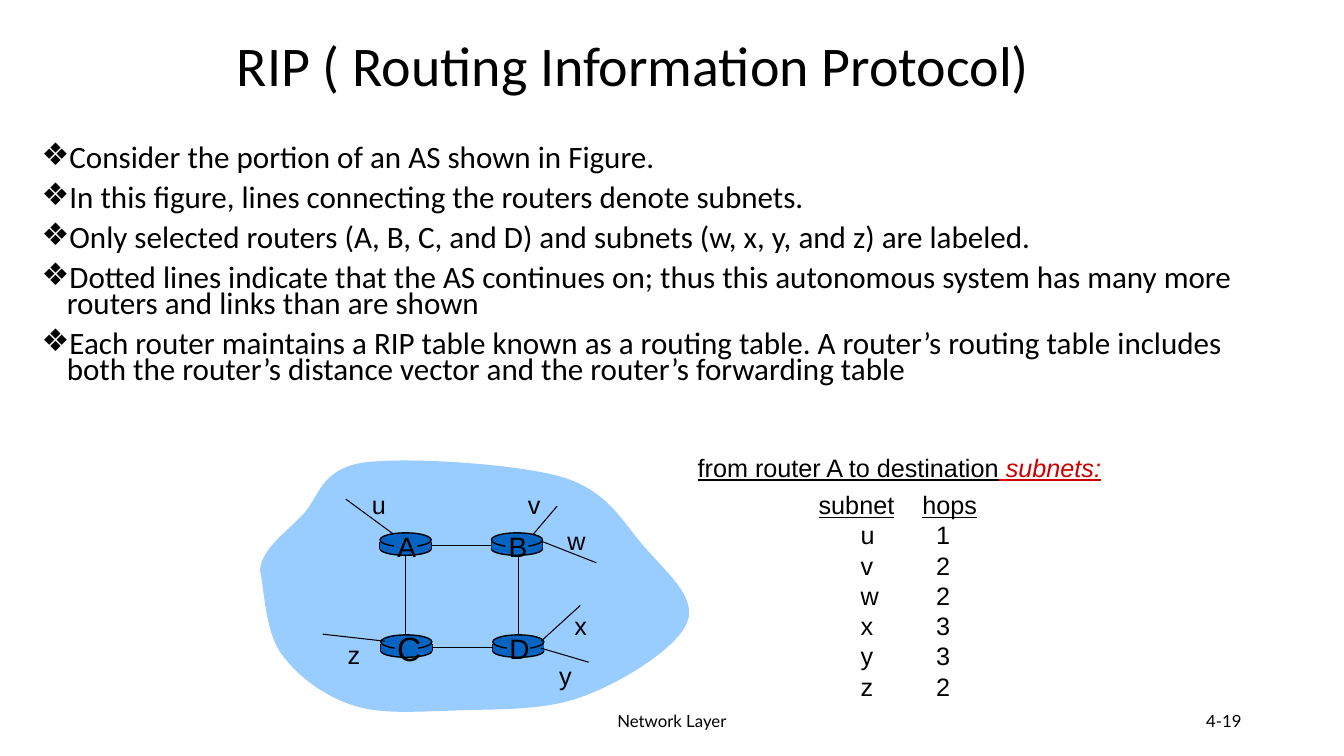
from lxml import etree
from pptx import Presentation
from pptx import util as u
from pptx.dml import color
from pptx.enum import shapes, text
from pptx.oxml import ns

Pt = u.Pt
COLORS = {"ink": "000000", "cloud": "99CCFF", "router": "0563C1",
          "accent": "CC0000", "gap": "FF0000"}

TITLE = "RIP ( Routing Information Protocol)"
POINTS = [
    "Consider the portion of an AS shown in Figure.",
    "In this figure, lines connecting the routers denote subnets.",
    "Only selected routers (A, B, C, and D) and subnets (w, x, y, and z) are labeled.",
    "Dotted lines indicate that the AS continues on; thus this autonomous system "
    "has many more routers and links than are shown",
    "Each router maintains a RIP table known as a routing table. A router’s routing "
    "table includes both the router’s distance vector and the router’s forwarding table",
]
# Cloud outline: bounds, start point, then two control points and an end per curve
CLOUD_BOUNDS = (185.8, 326.2, 498.3, 510.5)
CLOUD_START = (185.8, 407.5)
CLOUD_CURVES = [
    ((186.5, 392.4), (203.8, 380.9), (216, 367.9)),
    ((228.2, 355.7), (228.2, 335.5), (259.2, 330.5)),
    ((290.2, 326.2), (367.9, 331.2), (401, 340.6)),
    ((434.2, 350.6), (444.2, 372.2), (459.4, 389.5)),
    ((473.8, 406.8), (498.2, 426.2), (491, 444.2)),
    ((483.8, 463), (444.2, 487.4), (416.2, 497.5)),
    ((388.1, 508.3), (351.4, 506.2), (324, 507.6)),
    ((295.9, 508.3), (270.7, 510.5), (250.6, 503.3)),
    ((229.7, 496.1), (211, 481.7), (200.2, 465.8)),
    ((189.4, 450), (188.6, 419.8), CLOUD_START),
]
# Router name: left, top, label size, offsets of its upright sides
ROUTERS = {"A": (271.5, 380.6, 20, (0, 36.5)), "B": (351, 380.6, 20, (0, 36.5)),
           "C": (272, 453.5, 24, (0, 36.5)), "D": (352, 453.5, 20, (0,))}
# Subnet name: label position, line ends, hops from A
SUBNETS = {
    "u": ((258.5, 346.3), (281, 381.5, 247, 356.5), 1),
    "v": ((370, 346.3), (381, 381.5, 398, 361.5), 2),
    "w": ((398.2, 371.5), (386.5, 386.5, 426, 402), 2),
    "x": ((403.2, 432.5), (386.5, 458, 414.5, 432.5), 3),
    "y": ((392.4, 468), (386.5, 463, 420.5, 473), 3),
    "z": ((241.2, 453), (275, 458, 230.5, 453), 2),
}


def rgb(name):
    return color.RGBColor.from_string(COLORS[name])


def write(para, words, size=18, font="Arial", ink="ink", underline=False, italic=False):
    span = para.add_run()
    span.text = words
    span.font.size = Pt(size)
    span.font.name = font
    span.font.color.rgb = rgb(ink)
    span.font.underline = underline
    span.font.italic = italic


def add_box(page, left, top, width, height, fit=True):
    box = page.shapes.add_textbox(Pt(left), Pt(top), Pt(width), Pt(height))
    frame = box.text_frame
    frame.word_wrap = not fit
    frame.auto_size = text.MSO_AUTO_SIZE.SHAPE_TO_FIT_TEXT if fit else text.MSO_AUTO_SIZE.NONE
    return frame


def add_label(page, words, left, top, width, height, align=text.PP_ALIGN.LEFT, **style):
    para = add_box(page, left, top, width, height).paragraphs[0]
    para.alignment = align
    write(para, words, **style)


def add_footer(page, words, left, width, align):
    frame = add_box(page, left, 500.5, width, 28.8, fit=False)
    frame.vertical_anchor = text.MSO_ANCHOR.MIDDLE
    frame.paragraphs[0].alignment = align
    write(frame.paragraphs[0], words, size=12, font="Lato")


def paint(shape, fill, outlined=False):
    shape.shadow.inherit = False
    shape.fill.solid()
    shape.fill.fore_color.rgb = rgb(fill)
    if outlined:
        shape.line.color.rgb = rgb("ink")
        shape.line.width = Pt(1)
    else:
        shape.line.fill.background()
    return shape


def add_part(page, kind, left, top, width, height, outlined=False):
    shape = page.shapes.add_shape(kind, Pt(left), Pt(top), Pt(width), Pt(height))
    return paint(shape, "router", outlined)


def add_line(page, x1, y1, x2, y2, width=1.0):
    line = page.shapes.add_connector(shapes.MSO_CONNECTOR.STRAIGHT,
                                     Pt(x1), Pt(y1), Pt(x2), Pt(y2))
    line.line.color.rgb = rgb("ink")
    line.line.width = Pt(width)
    etree.SubElement(line._element.spPr, ns.qn("a:effectLst"))
    return line


def add_cloud(page):
    left, top, right, bottom = CLOUD_BOUNDS
    builder = page.shapes.build_freeform(Pt(left), Pt(top), scale=1.0)
    builder.add_line_segments([(Pt(right), Pt(top)), (Pt(right), Pt(bottom)),
                               (Pt(left), Pt(bottom))], close=True)
    cloud = paint(builder.convert_to_shape(), "cloud")
    # Fill the frame with smooth curves
    outline = cloud._element.spPr.find(".//" + ns.qn("a:path"))
    for segment in list(outline):
        outline.remove(segment)
    moves = [("a:moveTo", [CLOUD_START])]
    moves += [("a:cubicBezTo", curve) for curve in CLOUD_CURVES]
    for tag, points in moves + [("a:close", [])]:
        segment = etree.SubElement(outline, ns.qn(tag))
        for x, y in points:
            etree.SubElement(segment, ns.qn("a:pt"), x=str(Pt(x - left)), y=str(Pt(y - top)))


def add_router(page, left, top, sides):
    """Draw a disc-shaped router and return its body."""
    oval, rect = shapes.MSO_SHAPE.OVAL, shapes.MSO_SHAPE.RECTANGLE
    add_part(page, oval, left, top + 7, 36.5, 9, outlined=True)
    for side in sides:
        add_line(page, left + side, top + 6.5, left + side, top + 11.5)
    body = add_part(page, rect, left, top + 6.5, 36.5, 5)
    add_part(page, oval, left, top, 36.5, 10, outlined=True)
    add_part(page, rect, left + 10, top + 1.5, 16.5, 13.5)
    return body


def add_network(page):
    add_cloud(page)
    bodies = {name: add_router(page, left, top, sides)
              for name, (left, top, _, sides) in ROUTERS.items()}
    # Links between routers
    for west, east in ("AB", "CD"):
        link = add_line(page, 0, 0, 0, 0)
        link.begin_connect(bodies[west], 3)
        link.end_connect(bodies[east], 1)
    for x in (289.5, 370.3):
        add_line(page, x, 397.5, x, 453.5)
    # Router names
    for name, (left, top, size, _) in ROUTERS.items():
        height = size * 1.2 + 8
        add_label(page, name, left + 4.5, top + 10 - height / 2, 29, height,
                  align=text.PP_ALIGN.CENTER, size=size)
    # Subnets
    for name, ((left, top), ends, _) in SUBNETS.items():
        add_line(page, *ends, width=0.75)
        add_label(page, name, left, top, 25, 29)


def set_tabs(para, *stops):
    tabs = etree.SubElement(para._p.get_or_add_pPr(), ns.qn("a:tabLst"))
    for stop in stops:
        etree.SubElement(tabs, ns.qn("a:tab"), pos=str(Pt(stop)), algn="l")


def add_hops(page):
    frame = add_box(page, 577.7, 346.1, 127.5, 180)
    head = frame.paragraphs[0]
    set_tabs(head, 74)
    write(head, "subnet", underline=True)
    write(head, "\t")
    write(head, "hops", underline=True)
    for name, (_, _, hops) in SUBNETS.items():
        row = frame.add_paragraph()
        set_tabs(row, 30, 84)
        write(row, f"\t{name}\t{hops}")

    caption = add_box(page, 491.3, 319.3, 304.5, 29).paragraphs[0]
    write(caption, "from router A to destination", underline=True)
    write(caption, " ", ink="gap", underline=True)
    write(caption, "subnets:", ink="accent", underline=True, italic=True)


def place(holder, left, top, width, height, anchor):
    holder.left, holder.top = Pt(left), Pt(top)
    holder.width, holder.height = Pt(width), Pt(height)
    frame = holder.text_frame
    frame.word_wrap = True
    frame.auto_size = text.MSO_AUTO_SIZE.NONE
    frame.vertical_anchor = anchor
    return frame


def fill_title(page):
    frame = place(page.shapes.title, 162, 12, 643.5, 74, text.MSO_ANCHOR.MIDDLE)
    para = frame.paragraphs[0]
    para.alignment = text.PP_ALIGN.LEFT
    para.line_spacing = 0.9
    write(para, TITLE, size=40, font="Calibri")


def fill_body(page):
    frame = place(page.placeholders[1], 22.5, 101.5, 898.5, 186, text.MSO_ANCHOR.TOP)
    for index, point in enumerate(POINTS):
        para = frame.add_paragraph() if index else frame.paragraphs[0]
        props = para._p.get_or_add_pPr()
        props.set("marL", str(Pt(18)))
        props.set("indent", str(Pt(-18)))
        etree.SubElement(props, ns.qn("a:buChar"), char="❖")
        para.line_spacing = 0.7
        para.space_before = Pt(10 if index else 0)
        write(para, point, size=22.2, font="Calibri")


def main():
    deck = Presentation()
    deck.slide_width, deck.slide_height = Pt(960), Pt(540)
    page = deck.slides.add_slide(deck.slide_layouts[1])
    fill_title(page)
    fill_body(page)
    add_network(page)
    add_hops(page)
    add_footer(page, "Network Layer", 318, 324, text.PP_ALIGN.CENTER)
    add_footer(page, "4-19", 678, 216, text.PP_ALIGN.RIGHT)
    deck.save("out.pptx")


if __name__ == "__main__":
    main()
